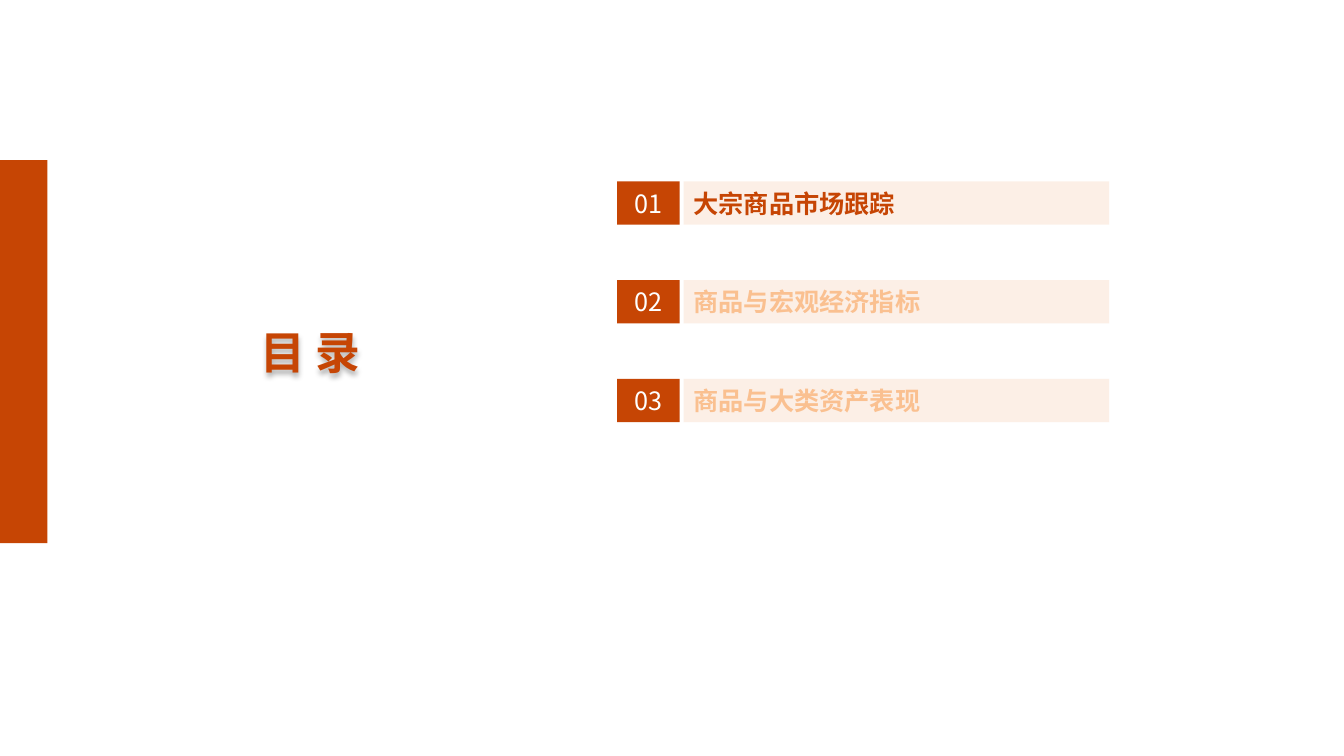
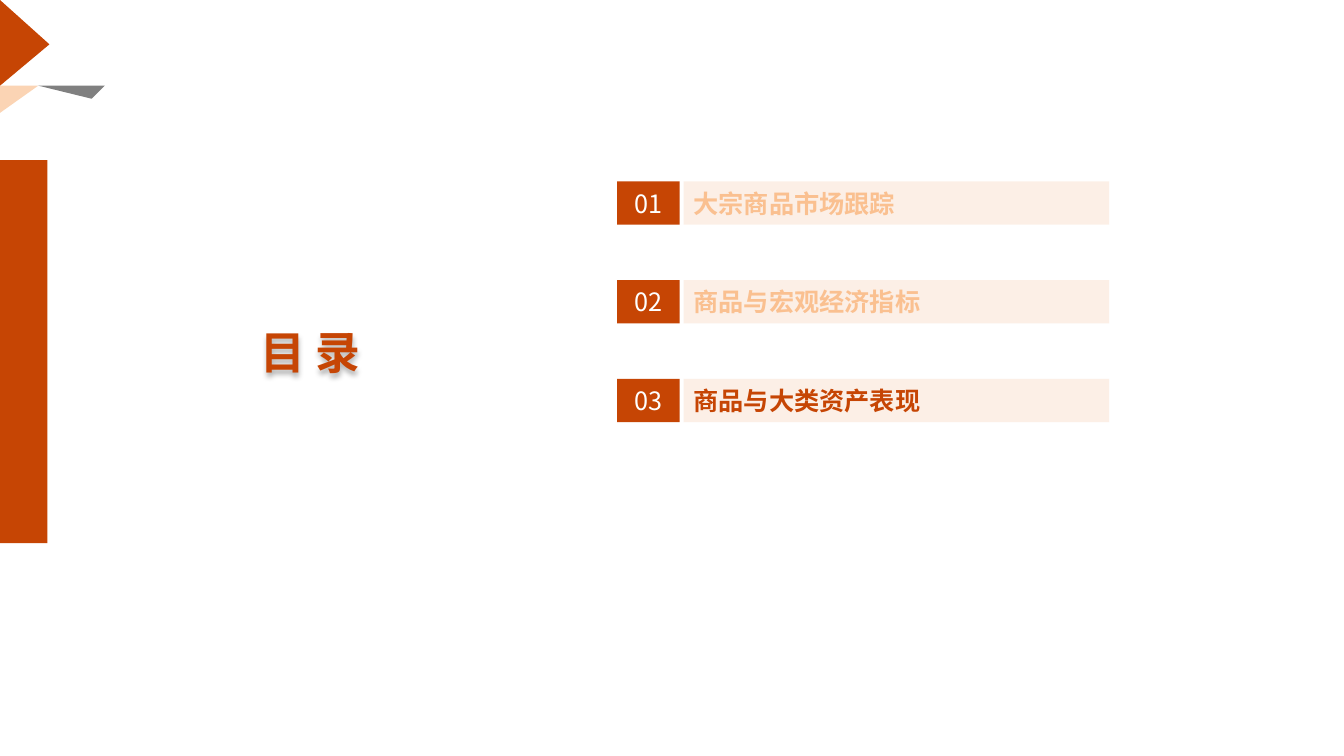
from lxml.etree import SubElement
from pptx import Presentation
from pptx.dml.color import RGBColor
from pptx.enum.shapes import MSO_SHAPE
from pptx.enum.text import MSO_ANCHOR, MSO_AUTO_SIZE, PP_ALIGN
from pptx.oxml.ns import qn
from pptx.util import Inches, Pt

FONT = "Noto Sans CJK SC"
COLORS = {
    "rust": "C64504",
    "peach": "FAC090",
    "cream": "FBE5D6",
    "gray": "808080",
    "white": "FFFFFF",
    "black": "000000",
}
TOPICS = ["大宗商品市场跟踪", "商品与宏观经济指标", "商品与大类资产表现"]
ITEM_TOP, ITEM_STEP, ITEM_HEIGHT = 1.8, 0.98, 0.43
CORNER = [
    ("rust", 100, [(0.49, 0.44), (0, 0), (0, 0.85)]),
    ("peach", 67, [(0, 1.12), (0.38, 0.85), (0, 0.85)]),
    ("gray", 100, [(1.04, 0.85), (0.91, 0.98), (0.38, 0.85)]),
]


def paint(shape, color, alpha=100):
    """Give a flat fill, opaque to alpha percent, with no line or shadow."""
    shape.shadow.inherit = False
    shape.line.fill.background()
    shape.fill.solid()
    shape.fill.fore_color.rgb = RGBColor.from_string(COLORS[color])
    if alpha < 100:
        tint = shape.fill._xPr.find(".//" + qn("a:srgbClr"))
        SubElement(tint, qn("a:alpha"), val=str(alpha * 1000))


def add_box(shapes, left, top, width, height, color, alpha=100):
    box = shapes.add_shape(MSO_SHAPE.RECTANGLE, Inches(left), Inches(top),
                           Inches(width), Inches(height))
    paint(box, color, alpha)
    return box


def write(shape, text, size, color, bold=False, align=PP_ALIGN.LEFT):
    frame = shape.text_frame
    frame.word_wrap = True
    frame.auto_size = MSO_AUTO_SIZE.NONE
    frame.vertical_anchor = MSO_ANCHOR.MIDDLE
    frame.text = text
    para = frame.paragraphs[0]
    para.alignment = align
    font = para.font
    font.size = Pt(size)
    font.bold = bold
    font.color.rgb = RGBColor.from_string(COLORS[color])
    font.name = FONT
    # Chinese text takes its typeface from a:ea, not a:latin.
    SubElement(font._rPr, qn("a:ea"), typeface=FONT)
    return para


def add_shadow(shape):
    """Cast a soft shadow straight down."""
    effects = SubElement(shape._element.spPr, qn("a:effectLst"))
    shade = SubElement(effects, qn("a:outerShdw"), blurRad=str(Pt(4)),
                       dist=str(Pt(3)), dir="5400000", algn="t", rotWithShape="0")
    tint = SubElement(shade, qn("a:srgbClr"), val=COLORS["black"])
    SubElement(tint, qn("a:alpha"), val="30000")


def set_title(slide, text):
    title = slide.shapes.title
    title.left, title.top = Inches(2.22), Inches(3.15)
    title.width, title.height = Inches(1.72), Inches(0.67)
    para = write(title, text, 32, "rust", True, PP_ALIGN.CENTER)
    para.space_after = Pt(6)
    add_shadow(title)


def add_item(slide, index, topic, active):
    shapes = slide.shapes.add_group_shape().shapes
    top = ITEM_TOP + index * ITEM_STEP
    badge = add_box(shapes, 6.12, top, 0.62, ITEM_HEIGHT, "rust")
    write(badge, f"{index + 1:02}", 18, "white", align=PP_ALIGN.CENTER)
    label = add_box(shapes, 6.78, top, 4.22, ITEM_HEIGHT, "cream", 59)
    write(label, topic, 18, "rust" if active else "peach", True)


def add_corner(slide):
    shapes = slide.shapes.add_group_shape().shapes
    for color, alpha, points in CORNER:
        start, *rest = [(Inches(x), Inches(y)) for x, y in points]
        path = shapes.build_freeform(*start)
        path.add_line_segments(rest, close=True)
        paint(path.convert_to_shape(), color, alpha)


def add_agenda(deck, current, corner=False):
    """Add a contents slide that highlights the topic at index current."""
    slide = deck.slides.add_slide(deck.slide_layouts[5])
    if corner:
        add_corner(slide)
    add_box(slide.shapes, 0, 1.59, 0.47, 3.8, "rust")
    set_title(slide, "目 录")
    for index, topic in enumerate(TOPICS):
        add_item(slide, index, topic, index == current)


def main():
    deck = Presentation()
    deck.slide_width, deck.slide_height = Inches(13.33), Inches(7.5)
    add_agenda(deck, 0)
    add_agenda(deck, 2, corner=True)
    deck.save("out.pptx")


if __name__ == "__main__":
    main()
